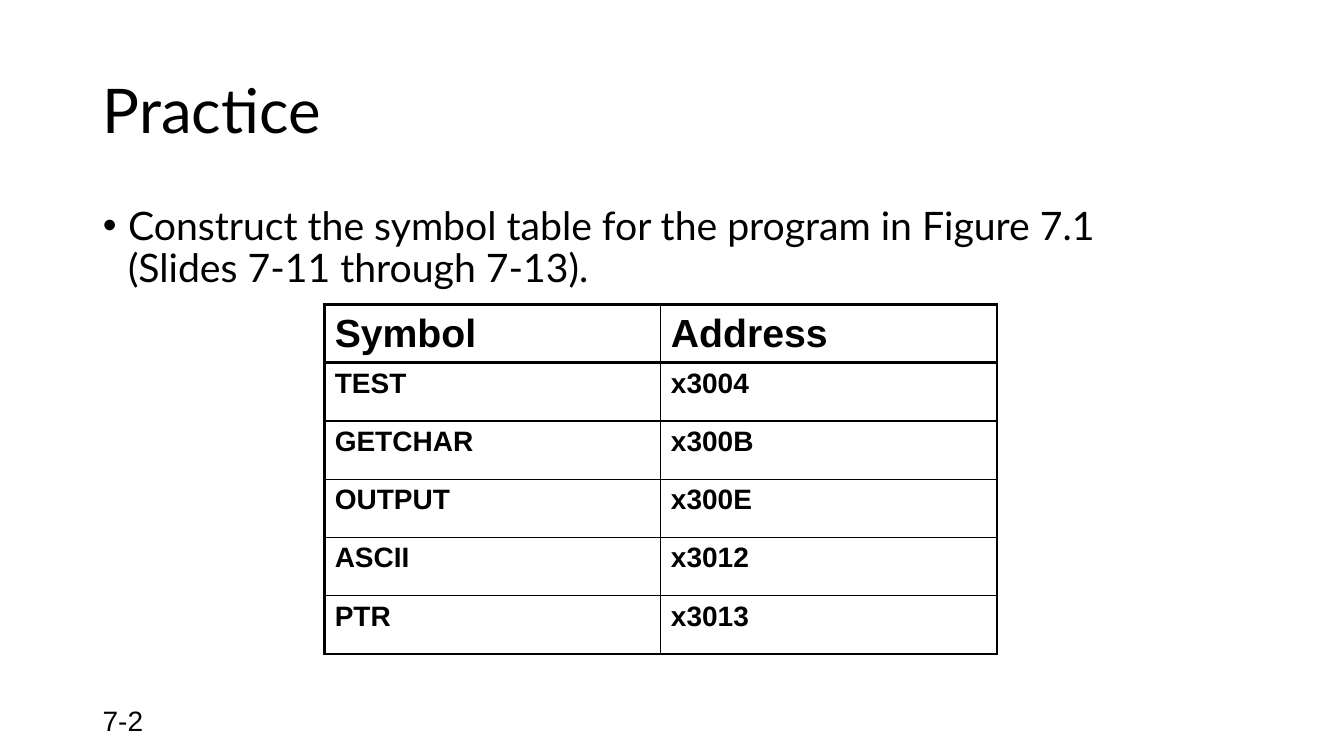
from lxml import etree
from pptx import Presentation
from pptx.dml.color import RGBColor
from pptx.enum.text import MSO_ANCHOR, MSO_AUTO_SIZE, PP_ALIGN
from pptx.oxml.ns import qn
from pptx.util import Inches, Pt

MIDDLE, TOP = MSO_ANCHOR.MIDDLE, MSO_ANCHOR.TOP
LEFT = PP_ALIGN.LEFT
NO_AUTOFIT = MSO_AUTO_SIZE.NONE

SYMBOLS = [
    ("Symbol", "Address"),
    ("TEST", "x3004"),
    ("GETCHAR", "x300B"),
    ("OUTPUT", "x300E"),
    ("ASCII", "x3012"),
    ("PTR", "x3013"),
]


def color(hex_value):
    return RGBColor.from_string(hex_value)


class SlideBuilder:
    INK = "000000"
    HEAD_FONT, PLAIN_FONT = "Lato", "Arial"
    THICK, THIN = 2.25, 1

    def __init__(self, slide):
        self.slide = slide

    def run(self, paragraph, text, size, font, bold=False):
        run = paragraph.add_run()
        run.text = text
        run.font.size = Pt(size)
        run.font.name = font
        run.font.bold = bold
        run.font.color.rgb = color(self.INK)

    def frame(self, shape, box, anchor):
        """Place a shape and return its first paragraph, ready for runs."""
        shape.left, shape.top, shape.width, shape.height = map(Inches, box)
        text_frame = shape.text_frame
        text_frame.word_wrap = True
        text_frame.auto_size = NO_AUTOFIT
        text_frame.vertical_anchor = anchor
        paragraph = text_frame.paragraphs[0]
        paragraph.alignment = LEFT
        return paragraph

    def title(self, text, box):
        paragraph = self.frame(self.slide.shapes.title, box, MIDDLE)
        paragraph.line_spacing = 0.9
        self.run(paragraph, text, 44, self.HEAD_FONT)

    def bullet(self, lines, box):
        paragraph = self.frame(self.slide.placeholders[1], box, TOP)
        paragraph.line_spacing = 0.9
        paragraph.space_before = Pt(10)
        properties = paragraph._p.get_or_add_pPr()
        properties.set("marL", str(Inches(0.25)))
        properties.set("indent", str(Inches(-0.25)))
        etree.SubElement(properties, qn("a:buFont"), typeface=self.PLAIN_FONT)
        etree.SubElement(properties, qn("a:buChar"), char="•")
        for index, line in enumerate(lines):
            if index:
                paragraph.add_line_break()
            self.run(paragraph, line, 28, self.HEAD_FONT)

    def label(self, text, box):
        paragraph = self.frame(self.slide.shapes.add_textbox(0, 0, 0, 0), box, MIDDLE)
        self.run(paragraph, text, 20, self.PLAIN_FONT)

    def borders(self, cell, widths):
        properties = cell._tc.get_or_add_tcPr()
        for side, width in widths.items():
            line = etree.SubElement(properties, qn(f"a:ln{side}"), w=str(Pt(width)))
            fill = etree.SubElement(line, qn("a:solidFill"))
            etree.SubElement(fill, qn("a:srgbClr"), val=self.INK)

    def table(self, rows, box):
        """Draw a grid with a thick frame and a thick rule below its header."""
        last_row, last_column = len(rows) - 1, len(rows[0]) - 1
        grid = self.slide.shapes.add_table(len(rows), len(rows[0]), *map(Inches, box)).table
        grid.first_row = grid.horz_banding = False
        for r, row in enumerate(rows):
            for c, text in enumerate(row):
                cell = grid.cell(r, c)
                header = r == 0
                cell.vertical_anchor = MIDDLE if header else TOP
                thick = {"L": c == 0, "R": c == last_column,
                         "T": r <= 1, "B": r in (0, last_row)}
                self.borders(cell, {side: self.THICK if on else self.THIN
                                    for side, on in thick.items()})
                cell.fill.background()
                paragraph = cell.text_frame.paragraphs[0]
                spacing = etree.SubElement(paragraph._p.get_or_add_pPr(), qn("a:spcBef"))
                etree.SubElement(spacing, qn("a:spcPct"), val="20000")
                self.run(paragraph, text, 28 if header else 20, self.PLAIN_FONT, bold=True)


def main():
    deck = Presentation()
    deck.slide_width, deck.slide_height = Inches(13.33), Inches(7.5)
    builder = SlideBuilder(deck.slides.add_slide(deck.slide_layouts[1]))
    builder.label("7-2", (0.92, 6.95, 3, 0.4))
    builder.title("Practice", (0.92, 0.4, 11.5, 1.45))
    builder.bullet(["Construct the symbol table for the program in Figure 7.1",
                    "(Slides 7-11 through 7-13)."], (0.92, 2, 11.5, 4.76))
    builder.table(SYMBOLS, (3.22, 3.02, 6.67, 3.47))
    deck.save("out.pptx")


if __name__ == "__main__":
    main()
